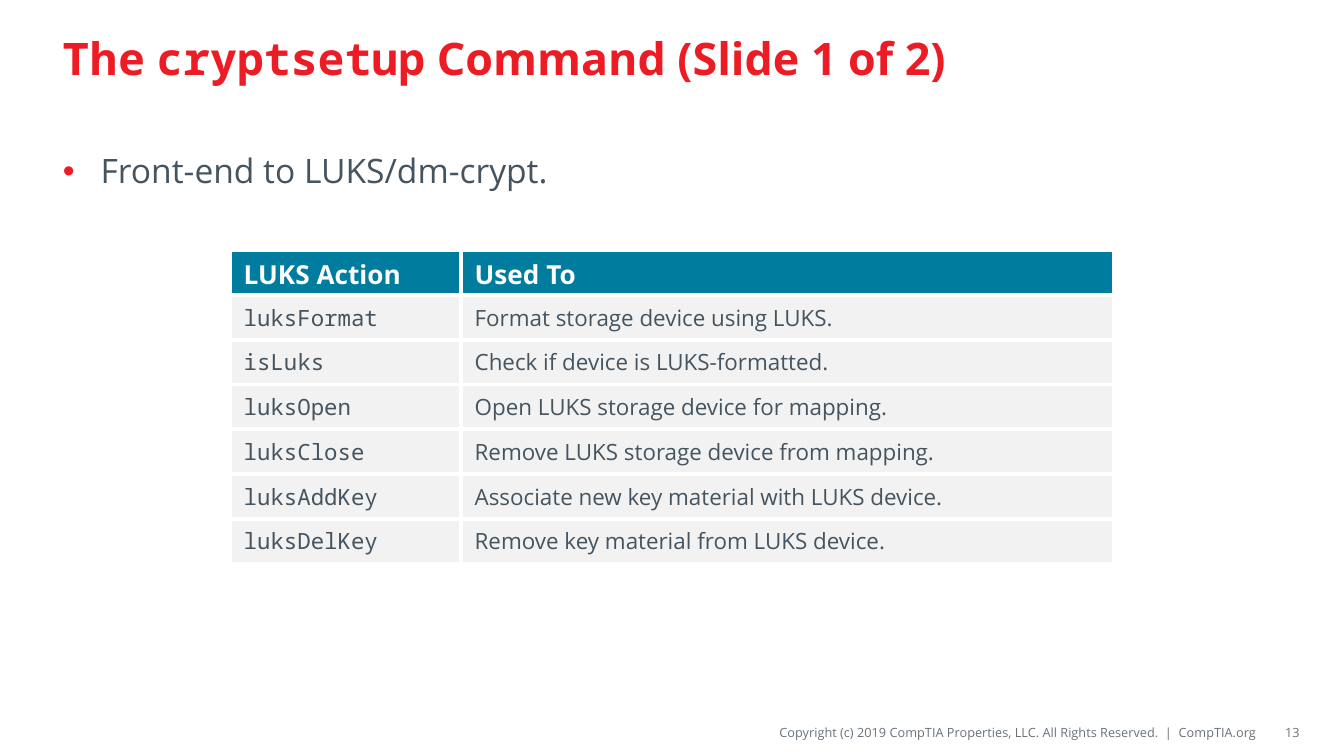
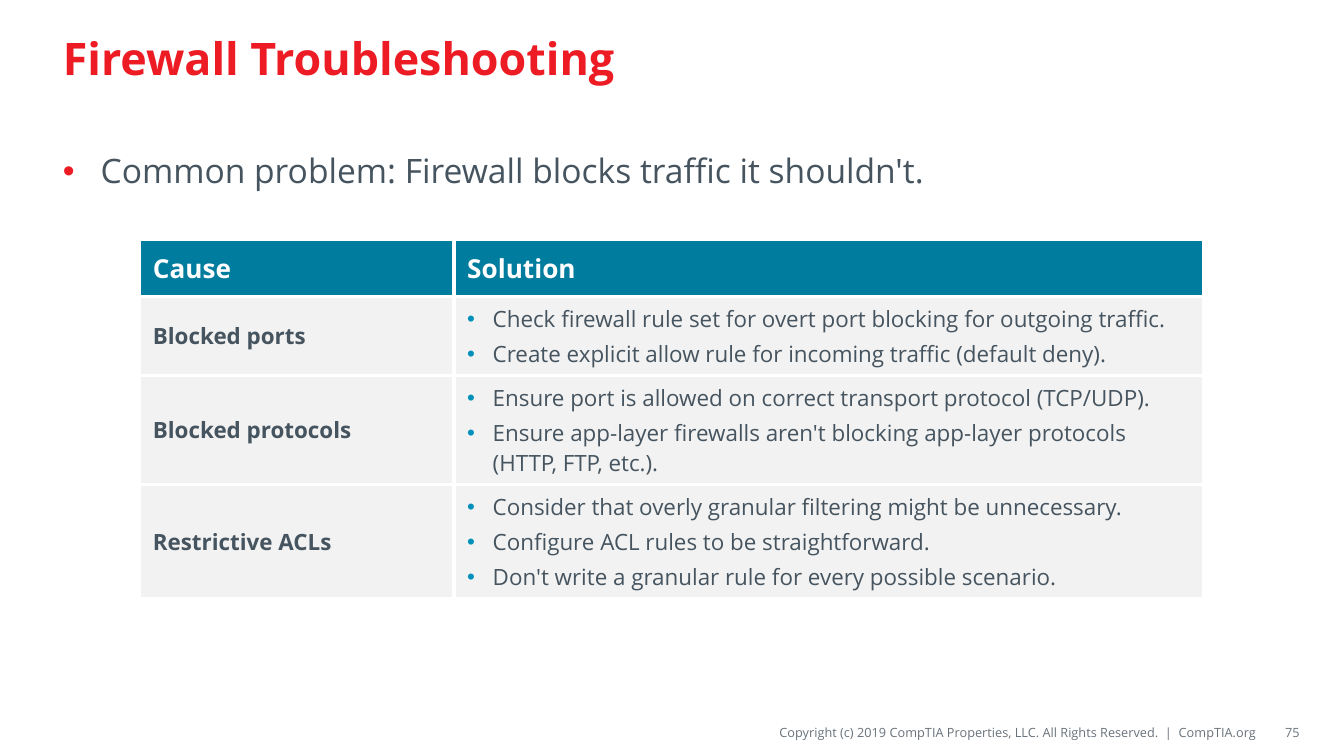
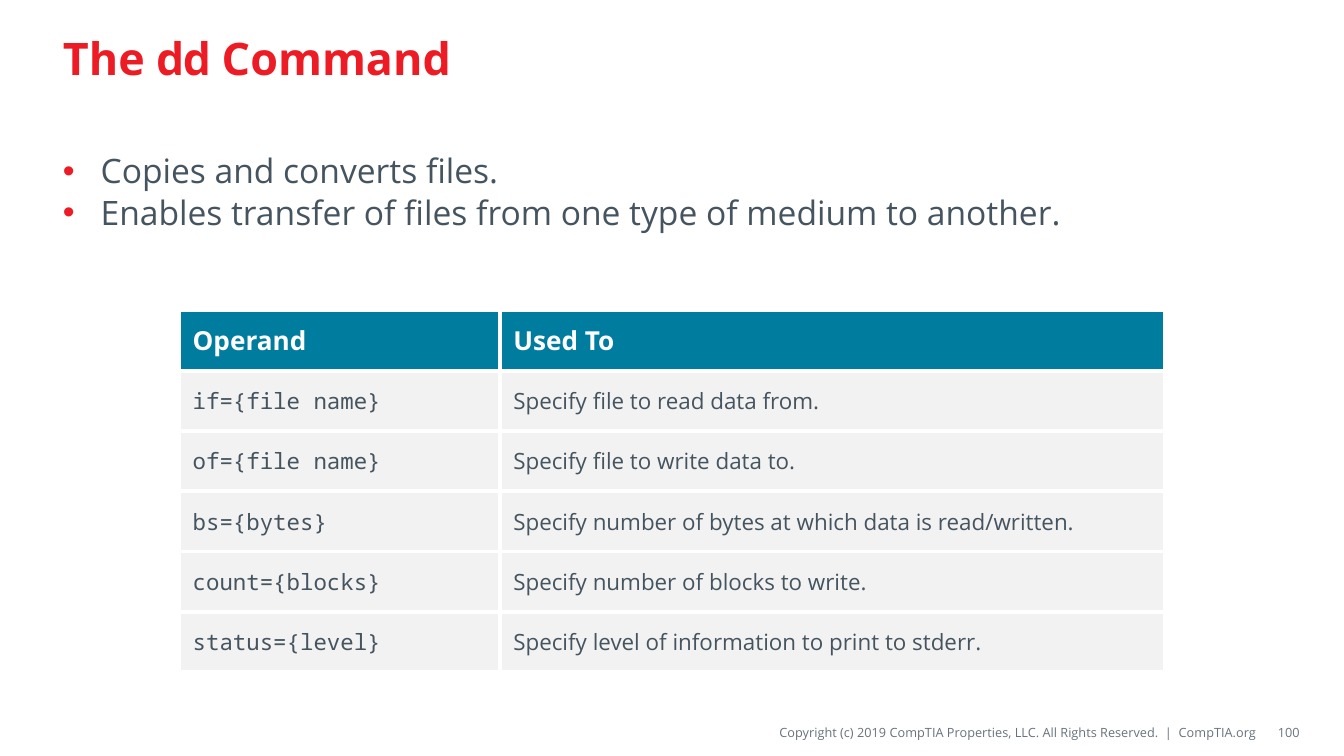
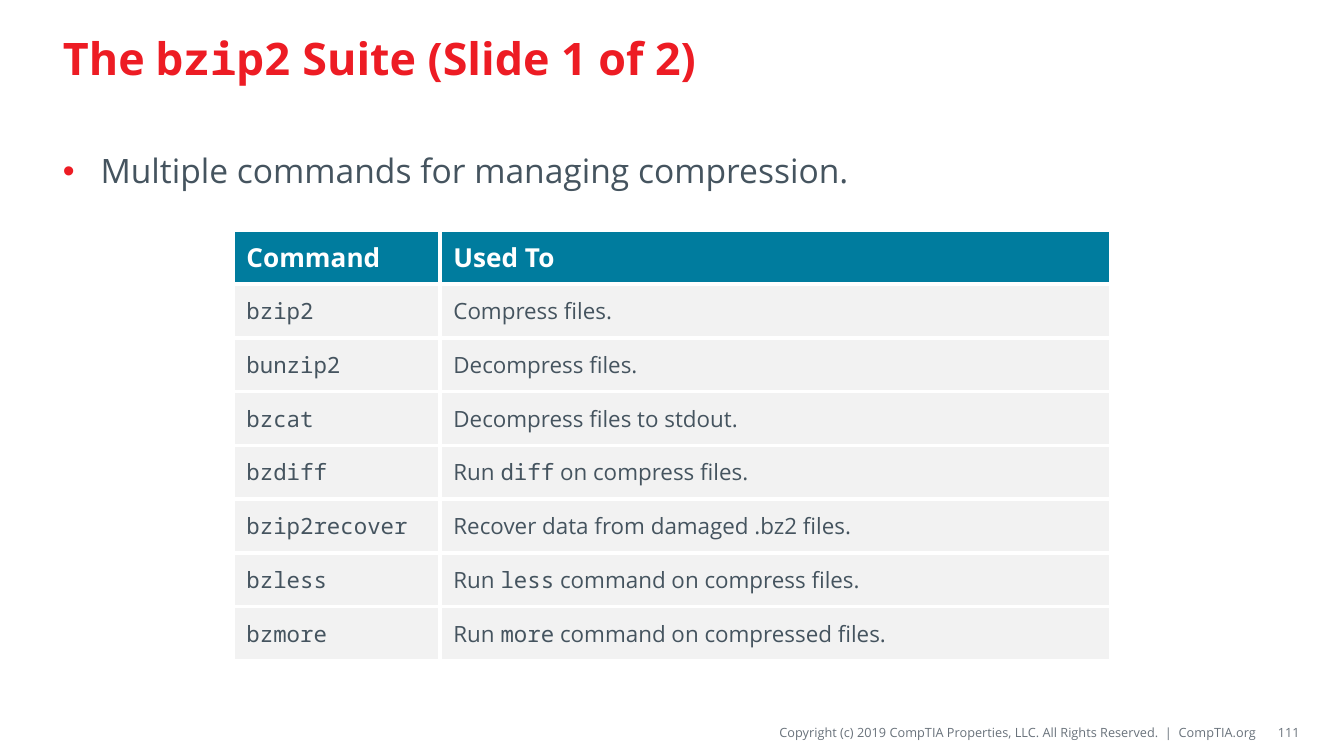
from dataclasses import dataclass

from lxml.etree import SubElement
from pptx import Presentation
from pptx.dml.color import RGBColor
from pptx.enum.text import MSO_ANCHOR as Anchor, PP_ALIGN as Align
from pptx.oxml.ns import qn
from pptx.util import Pt

# Text between backticks is set in the code font; a list in a cell is a bulleted list.
SLIDES = [
    {
        "title": "The `cryptsetup` Command (Slide 1 of 2)",
        "number": 13,
        "points": ["Front-end to LUKS/dm-crypt."],
        "origin": (123.3, 134),
        "columns": (123.8, 349.6),
        "heights": [24] * 7,
        "rows": [
            ("LUKS Action", "Used To"),
            ("`luksFormat`", "Format storage device using LUKS."),
            ("`isLuks`", "Check if device is LUKS-formatted."),
            ("`luksOpen`", "Open LUKS storage device for mapping."),
            ("`luksClose`", "Remove LUKS storage device from mapping."),
            ("`luksAddKey`", "Associate new key material with LUKS device."),
            ("`luksDelKey`", "Remove key material from LUKS device."),
        ],
    },
    {
        "title": "Firewall Troubleshooting",
        "number": 75,
        "points": ["Common problem: Firewall blocks traffic it shouldn't."],
        "origin": (74.7, 128.3),
        "columns": (168.4, 402),
        "heights": [30.6, 42.3, 58.4, 61],
        "rows": [
            ("Cause", "Solution"),
            ("Blocked ports", [
                "Check firewall rule set for overt port blocking for outgoing traffic.",
                "Create explicit allow rule for incoming traffic (default deny).",
            ]),
            ("Blocked protocols", [
                "Ensure port is allowed on correct transport protocol (TCP/UDP).",
                "Ensure app-layer firewalls aren't blocking app-layer protocols (HTTP, FTP, etc.).",
            ]),
            ("Restrictive ACLs", [
                "Consider that overly granular filtering might be unnecessary.",
                "Configure ACL rules to be straightforward.",
                "Don't write a granular rule for every possible scenario.",
            ]),
        ],
    },
    {
        "title": "The `dd` Command",
        "number": 100,
        "points": [
            "Copies and converts files.",
            "Enables transfer of files from one type of medium to another.",
        ],
        "origin": (96, 166.3),
        "columns": (171.8, 356.2),
        "heights": [32.3] * 6,
        "rows": [
            ("Operand", "Used To"),
            ("`if={file name}`", "Specify file to read data from."),
            ("`of={file name}`", "Specify file to write data to."),
            ("`bs={bytes}`", "Specify number of bytes at which data is read/written."),
            ("`count={blocks}`", "Specify number of blocks to write."),
            ("`status={level}`", "Specify level of information to print to stderr."),
        ],
    },
    {
        "title": "The `bzip2` Suite (Slide 1 of 2)",
        "number": 111,
        "points": ["Multiple commands for managing compression."],
        "origin": (124.8, 123.4),
        "columns": (110.9, 359.4),
        "heights": [28.8] * 8,
        "rows": [
            ("Command", "Used To"),
            ("`bzip2`", "Compress files."),
            ("`bunzip2`", "Decompress files."),
            ("`bzcat`", "Decompress files to stdout."),
            ("`bzdiff`", "Run `diff` on compress files."),
            ("`bzip2recover`", "Recover data from damaged .bz2 files."),
            ("`bzless`", "Run `less` command on compress files."),
            ("`bzmore`", "Run `more` command on compressed files."),
        ],
    },
]
COPYRIGHT = "Copyright (c) 2019 CompTIA Properties, LLC. All Rights Reserved.  |  CompTIA.org"


@dataclass(frozen=True)
class Theme:
    font: str = "Open Sans"
    code_font: str = "Noto Sans Mono"
    red: str = "ED1C24"
    ink: str = "45545F"
    footer: str = "69727B"
    white: str = "FFFFFF"
    header_fill: str = "007C9E"
    row_fill: str = "F2F2F2"
    cell_bullet: str = "0090B9"
    title_size: float = 24
    body_size: float = 18
    header_size: float = 14
    cell_size: float = 12
    footer_size: float = 6.8
    border: float = 2.25


THEME = Theme()
TITLE_BOX = (26.6, 5.8, 666, 49.7)
BODY_BOX = (26.6, 77, 666, 281)
COPYRIGHT_BOX = (279.4, 384.5, 393.8, 15.8)
NUMBER_BOX = (675.4, 384.5, 20.9, 15.8)


def write(paragraph, text, size, color, bold=False):
    """Fill a paragraph, switching to the code font inside backticks."""
    for i, part in enumerate(text.split("`")):
        if part:
            run = paragraph.add_run()
            run.text = part
            font = run.font
            font.name = THEME.code_font if i % 2 else THEME.font
            font.size, font.bold = Pt(size), bold
            font.color.rgb = RGBColor.from_string(color)


def add_bullet(paragraph, color, indent):
    props = paragraph._p.get_or_add_pPr()
    props.set("marL", str(Pt(indent)))
    props.set("indent", str(-Pt(indent)))
    SubElement(SubElement(props, qn("a:buClr")), qn("a:srgbClr"), val=color)
    SubElement(props, qn("a:buFont"), typeface="Arial")
    SubElement(props, qn("a:buChar"), char="•")


def write_list(frame, items, size, bullet_color, indent, gap):
    for i, item in enumerate(items):
        paragraph = frame.add_paragraph() if i else frame.paragraphs[0]
        add_bullet(paragraph, bullet_color, indent)
        if i:
            paragraph.space_before = Pt(gap)
        write(paragraph, item, size, THEME.ink)


def add_box(slide, box, anchor=Anchor.MIDDLE):
    frame = slide.shapes.add_textbox(*map(Pt, box)).text_frame
    frame.word_wrap = True
    frame.vertical_anchor = anchor
    return frame


def add_footer_text(slide, box, text, left_margin, side_margin):
    frame = add_box(slide, box)
    frame.margin_left, frame.margin_right = Pt(left_margin), 0
    frame.margin_top = frame.margin_bottom = Pt(side_margin)
    frame.paragraphs[0].alignment = Align.RIGHT
    write(frame.paragraphs[0], text, THEME.footer_size, THEME.footer)


def style_cell(cell, fill):
    props = cell._tc.get_or_add_tcPr()
    for side in ("lnL", "lnR", "lnT", "lnB"):
        line = SubElement(props, qn(f"a:{side}"), w=str(Pt(THEME.border)))
        SubElement(SubElement(line, qn("a:solidFill")), qn("a:srgbClr"), val=THEME.white)
    cell.fill.solid()
    cell.fill.fore_color.rgb = RGBColor.from_string(fill)
    cell.vertical_anchor = Anchor.MIDDLE


def add_grid(slide, origin, columns, heights, rows):
    table = slide.shapes.add_table(
        len(rows), len(columns), *map(Pt, (*origin, sum(columns), sum(heights)))).table
    table.first_row = table.horz_banding = False
    for column, width in zip(table.columns, columns):
        column.width = Pt(width)
    for r, (height, row) in enumerate(zip(heights, rows)):
        table.rows[r].height = Pt(height)
        for c, content in enumerate(row):
            cell = table.cell(r, c)
            style_cell(cell, THEME.row_fill if r else THEME.header_fill)
            frame = cell.text_frame
            if isinstance(content, list):
                write_list(frame, content, THEME.cell_size, THEME.cell_bullet, 13.7, 2.4)
            elif r == 0:
                write(frame.paragraphs[0], content, THEME.header_size, THEME.white, True)
            else:
                plain_key = c == 0 and "`" not in content
                write(frame.paragraphs[0], content, THEME.cell_size, THEME.ink, plain_key)


def build_slide(deck, content):
    slide = deck.slides.add_slide(deck.slide_layouts[6])
    add_footer_text(slide, COPYRIGHT_BOX, COPYRIGHT, 0, 2.9)
    title = add_box(slide, TITLE_BOX)
    write(title.paragraphs[0], content["title"], THEME.title_size, THEME.red, True)
    add_footer_text(slide, NUMBER_BOX, str(content["number"]), 7.2, 3.6)
    body = add_box(slide, BODY_BOX, Anchor.TOP)
    write_list(body, content["points"], THEME.body_size, THEME.red, 20.2, 0.7)
    add_grid(slide, content["origin"], content["columns"], content["heights"], content["rows"])


def main():
    deck = Presentation()
    deck.slide_width, deck.slide_height = Pt(720), Pt(405)
    for content in SLIDES:
        build_slide(deck, content)
    deck.save("out.pptx")


if __name__ == "__main__":
    main()
